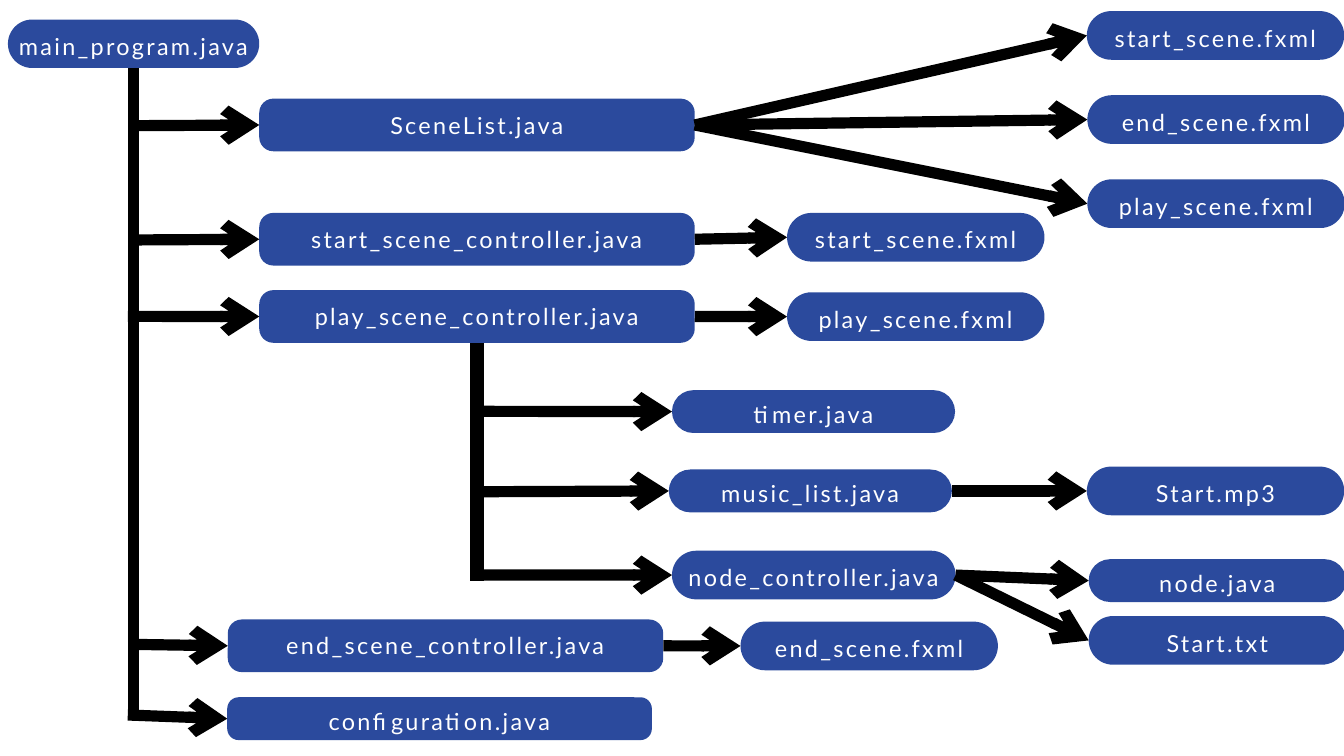
from dataclasses import dataclass

import pptx
import pptx.dml.color
import pptx.enum.shapes
import pptx.enum.text
import pptx.oxml
import pptx.oxml.ns
import pptx.util
from pptx.util import Cm

COLORS = {"node": "2B4A9D", "label": "FFFFFF", "link": "000000"}
TOP, LEFT, BOTTOM, RIGHT = range(4)


@dataclass(frozen=True)
class Style:
    width: float
    height: float
    radius: float
    bottom_inset: float = 0


@dataclass(frozen=True)
class Node:
    key: str
    label: str
    left: float
    top: float
    style: Style


@dataclass(frozen=True)
class Branch:
    x: float
    y: float
    target: str


@dataclass(frozen=True)
class Trunk:
    source: str
    x: float
    y: float
    width: float


PROGRAM = Style(9.5, 1.83, 0.92)
CONTROLLER = Style(16.46, 1.99, 0.53, 0.2)
CONFIGURATION = Style(16.05, 1.62, 0.43)
FILE = Style(9.73, 1.84, 0.92)
THIN_FILE = Style(9.73, 1.62, 0.81)
HELPER = Style(10.7, 1.62, 0.81)
TALL_HELPER = Style(10.72, 1.84, 0.92)

NODES = [
    Node("main", "main_program.java", 0.3, 0.74, PROGRAM),
    Node("list", "SceneList.java", 9.8, 3.73, CONTROLLER),
    Node("start", "start_scene_controller.java", 9.8, 8.05, CONTROLLER),
    Node("play", "play_scene_controller.java", 9.8, 10.97, CONTROLLER),
    Node("end", "end_scene_controller.java", 8.61, 23.42, CONTROLLER),
    Node("configuration", "configuration.java", 8.59, 26.36, CONFIGURATION),
    Node("start_view", "start_scene.fxml", 29.75, 8.05, FILE),
    Node("play_view", "play_scene.fxml", 29.75, 11.05, FILE),
    Node("end_view", "end_scene.fxml", 27.99, 23.5, FILE),
    Node("list_start", "start_scene.fxml", 41.08, 0.42, FILE),
    Node("list_end", "end_scene.fxml", 41.1, 3.6, FILE),
    Node("list_play", "play_scene.fxml", 41.1, 6.78, FILE),
    Node("timer", "timer.java", 25.4, 14.75, HELPER),
    Node("music", "music_list.java", 25.28, 17.75, HELPER),
    Node("node_controller", "node_controller.java", 25.4, 20.82, TALL_HELPER),
    Node("mp3", "Start.mp3", 41.08, 17.64, FILE),
    Node("node", "node.java", 41.15, 21.14, THIN_FILE),
    Node("txt", "Start.txt", 41.15, 23.29, FILE),
]
LINKS = [
    ("list", "list_start"),
    ("list", "list_end"),
    ("list", "list_play"),
    ("start", "start_view"),
    ("play", "play_view"),
    ("end", "end_view"),
    ("music", "mp3"),
    ("node_controller", "node"),
    ("node_controller", "txt"),
]
TRUNKS = [Trunk("main", 5.05, 27.08, 12), Trunk("play", 18.03, 21.95, 15)]
BRANCHES = [
    Branch(5.26, 4.75, "list"),
    Branch(5.26, 9.07, "start"),
    Branch(4.83, 11.96, "play"),
    Branch(5.03, 24.36, "end"),
    Branch(4.83, 27.03, "configuration"),
    Branch(18.29, 15.55, "timer"),
    Branch(18.03, 18.59, "music"),
    Branch(18.03, 21.74, "node_controller"),
]


def rgb(name: str) -> pptx.dml.color.RGBColor:
    return pptx.dml.color.RGBColor.from_string(COLORS[name])


def draw_node(slide: pptx.slide.Slide, node: Node) -> pptx.shapes.autoshape.Shape:
    style = node.style
    shape = slide.shapes.add_shape(
        pptx.enum.shapes.MSO_SHAPE.ROUNDED_RECTANGLE,
        Cm(node.left), Cm(node.top), Cm(style.width), Cm(style.height),
    )
    shape.adjustments[0] = min(0.5, style.radius / style.height)
    shape.shadow.inherit = False
    shape.fill.solid()
    shape.fill.fore_color.rgb = rgb("node")
    shape.line.fill.background()

    text_frame = shape.text_frame
    text_frame.text = node.label
    text_frame.word_wrap = True
    text_frame.vertical_anchor = pptx.enum.text.MSO_ANCHOR.MIDDLE
    text_frame.margin_left = text_frame.margin_right = text_frame.margin_top = 0
    text_frame.margin_bottom = Cm(style.bottom_inset)
    paragraph = text_frame.paragraphs[0]
    paragraph.alignment = pptx.enum.text.PP_ALIGN.CENTER
    paragraph.line_spacing = pptx.util.Pt(35.1)
    run = paragraph.runs[0]
    run.font.name = "Lato"
    run.font.size = pptx.util.Pt(25.1)
    run.font.color.rgb = rgb("label")
    run.font._element.set("spc", "250")
    return shape


def draw_line(
    slide: pptx.slide.Slide, x: float, y: float, width: float = 12, arrow: bool = True
) -> pptx.shapes.connector.Connector:
    connector = slide.shapes.add_connector(
        pptx.enum.shapes.MSO_CONNECTOR.STRAIGHT, Cm(x), Cm(y), Cm(x), Cm(y)
    )
    connector.line.color.rgb = rgb("link")
    connector.line.width = pptx.util.Pt(width)
    if arrow:
        tail = pptx.oxml.parse_xml(
            f'<a:tailEnd {pptx.oxml.ns.nsdecls("a")} type="arrow"/>'
        )
        connector.line._get_or_add_ln().append(tail)
    effects = pptx.oxml.parse_xml(f'<a:effectLst {pptx.oxml.ns.nsdecls("a")}/>')
    connector._element.spPr.append(effects)
    return connector


def main() -> None:
    presentation = pptx.Presentation()
    presentation.slide_width = Cm(50.8)
    presentation.slide_height = Cm(28.58)
    slide = presentation.slides.add_slide(presentation.slide_layouts[6])

    shapes = {node.key: draw_node(slide, node) for node in NODES}
    for trunk in TRUNKS:
        connector = draw_line(slide, trunk.x, trunk.y, trunk.width, arrow=False)
        connector.begin_connect(shapes[trunk.source], BOTTOM)
    for branch in BRANCHES:
        connector = draw_line(slide, branch.x, branch.y)
        connector.end_connect(shapes[branch.target], LEFT)
    for source, target in LINKS:
        connector = draw_line(slide, 0, 0)
        connector.begin_connect(shapes[source], RIGHT)
        connector.end_connect(shapes[target], LEFT)

    presentation.save("out.pptx")


if __name__ == "__main__":
    main()
